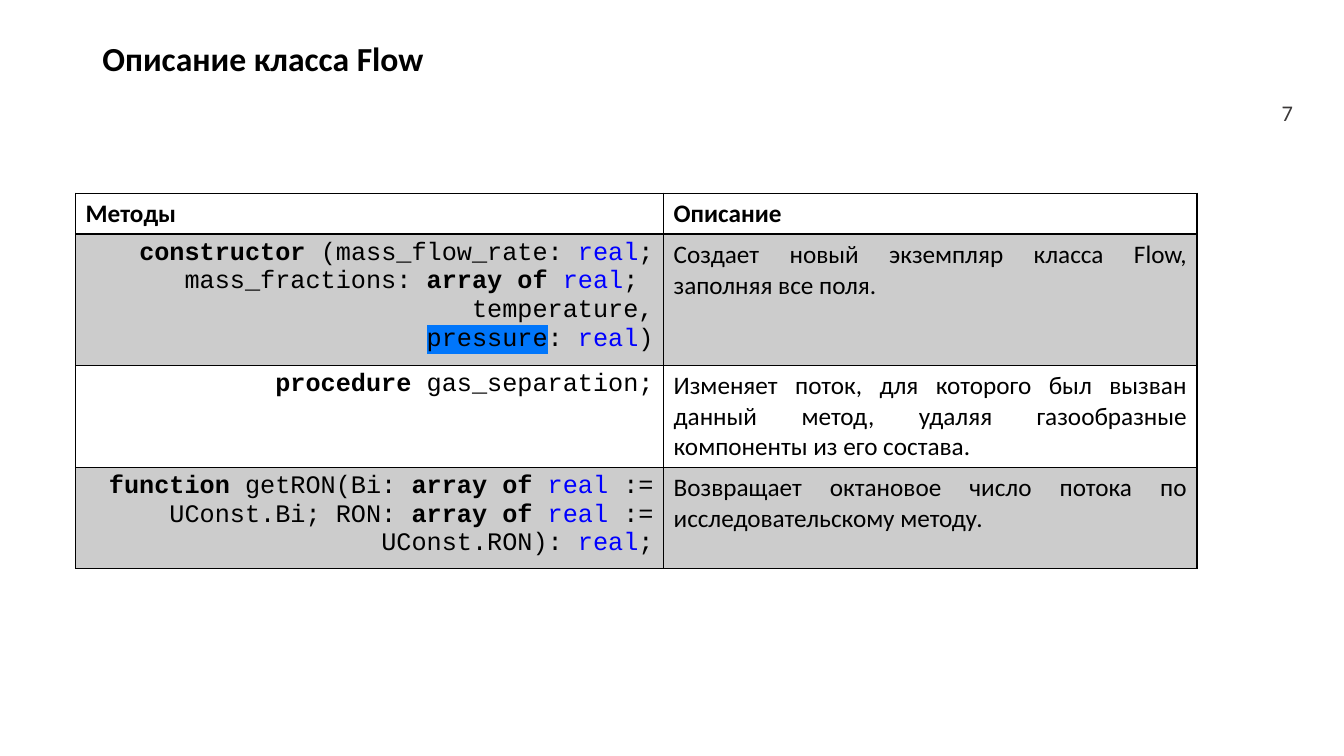
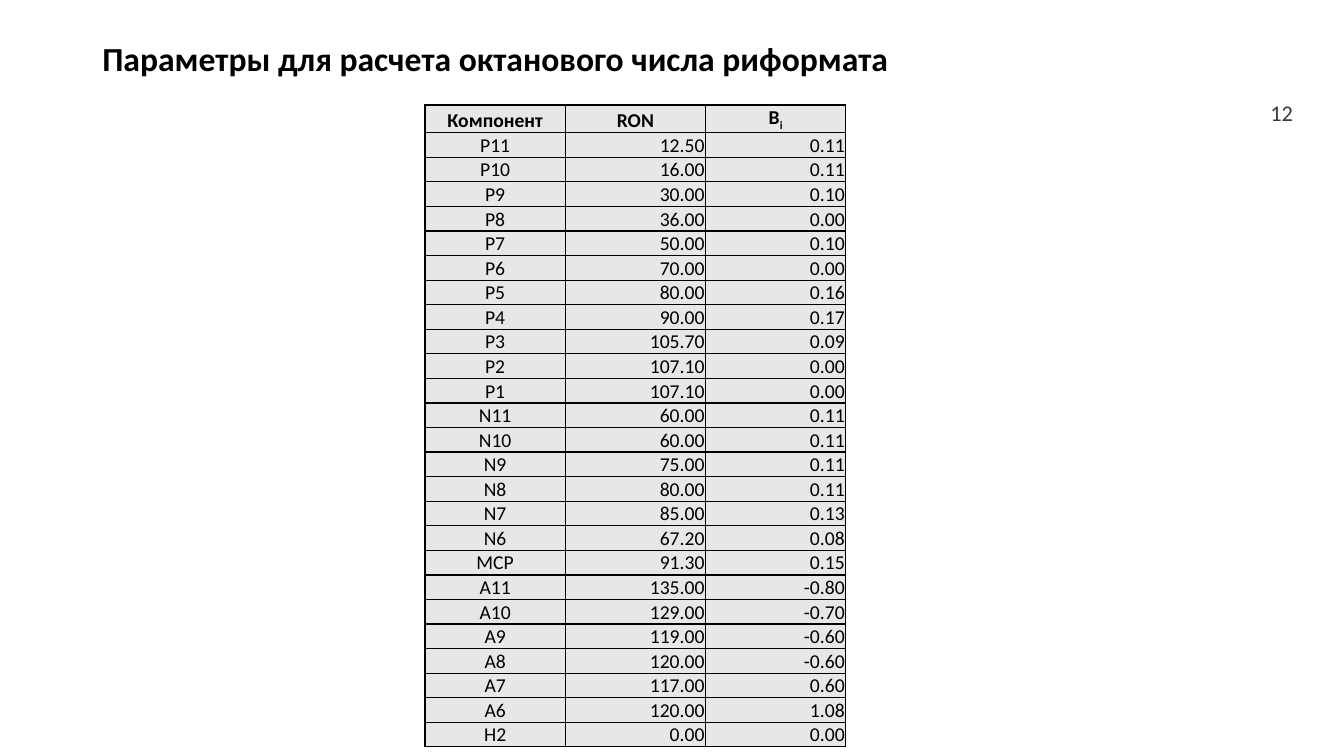
from lxml import etree
from pptx import Presentation
from pptx import util as u
from pptx.dml.color import RGBColor
from pptx.enum import text
from pptx.oxml import ns

BLACK = RGBColor(0x00, 0x00, 0x00)
NUMBER_GRAY = RGBColor(0x3B, 0x38, 0x38)
TYPE_BLUE = RGBColor(0x00, 0x00, 0xFF)
BAND_GRAY = RGBColor(0xCC, 0xCC, 0xCC)
CELL_GRAY = RGBColor(0xE7, 0xE7, 0xE7)
MARK_BLUE = RGBColor(0x00, 0x76, 0xFB)

BODY, CODE = "Calibri", "Courier New"
LEFT, CENTER = text.PP_ALIGN.LEFT, text.PP_ALIGN.CENTER
RIGHT, JUSTIFY = text.PP_ALIGN.RIGHT, text.PP_ALIGN.JUSTIFY

# Looks of a span; a plain string has none
KEYWORD, TYPE, MARKED, SUB = "keyword", "type", "marked", "sub"


class Slides:
    """Style and current page; lengths are units of a 16 by 9 grid."""

    def __init__(self):
        self.deck = Presentation()
        self.deck.slide_width = u.Inches(13.33)
        self.deck.slide_height = u.Inches(7.5)
        self.unit = self.deck.slide_width / 16
        self.page = None

    def grid(self, *lengths):
        return [u.Emu(round(length * self.unit)) for length in lengths]

    def add_page(self, title, number):
        self.page = self.deck.slides.add_slide(self.deck.slide_layouts[6])
        self.label((14.9, 1.1, 0.61, 0.48), number, 16, NUMBER_GRAY, RIGHT)
        para = self.label((1.1, 0.2, 12.94, 1.04), title, 24, BLACK, LEFT, bold=True)
        para.line_spacing = 0.9

    def label(self, place, words, size, color, align, bold=False):
        box = self.page.shapes.add_textbox(*self.grid(*place))
        frame = box.text_frame
        frame.word_wrap = True
        frame.vertical_anchor = text.MSO_ANCHOR.MIDDLE
        para = frame.paragraphs[0]
        self.set_para(para, [words], size, align, color=color, bold=bold)
        return para

    def set_para(self, para, spans, size, align, font=BODY, color=BLACK, bold=False):
        para.alignment = align
        para.font.name, para.font.size = font, u.Pt(size)
        para.font.bold = bold
        para.font.color.rgb = color
        for item in spans:
            words, look = (item, None) if isinstance(item, str) else item
            span = para.add_run()
            span.text = words
            if look == KEYWORD:
                span.font.bold = True
            elif look == TYPE:
                span.font.color.rgb = TYPE_BLUE
            elif look == MARKED:
                self.highlight(span)
            elif look == SUB:
                span.font._element.set("baseline", "-25000")

    def highlight(self, span):
        span.font.color.rgb = BLACK
        fill = span.font._element.find(ns.qn("a:solidFill"))
        mark = etree.Element(ns.qn("a:highlight"))
        etree.SubElement(mark, ns.qn("a:srgbClr"), val=str(MARK_BLUE))
        fill.addnext(mark)

    def table(self, left, top, columns, rows):
        place = self.grid(left, top, sum(columns), sum(rows))
        table = self.page.shapes.add_table(len(rows), len(columns), *place).table
        table.first_row = table.horz_banding = False
        for column, width in zip(table.columns, self.grid(*columns)):
            column.width = width
        for row, height in zip(table.rows, self.grid(*rows)):
            row.height = height
        return table

    def cell(self, cell, paras, size, align, fill=None, top=1, bottom=1, **style):
        properties = cell._tc.get_or_add_tcPr()
        for side, width in zip("LRTB", (1, 1, top, bottom)):
            line = etree.SubElement(properties, ns.qn(f"a:ln{side}"), w=str(u.Pt(width)))
            paint = etree.SubElement(line, ns.qn("a:solidFill"))
            etree.SubElement(paint, ns.qn("a:srgbClr"), val=str(BLACK))
        if fill is None:
            cell.fill.background()
        else:
            cell.fill.solid()
            cell.fill.fore_color.rgb = fill
        frame = cell.text_frame
        for index, spans in enumerate(paras):
            para = frame.add_paragraph() if index else frame.paragraphs[0]
            self.set_para(para, spans, size, align, **style)

    def tight_cell(self, cell, spans, align, bold):
        self.cell(cell, [spans], 14, align, fill=CELL_GRAY, bold=bold)
        cell.margin_left = cell.margin_right = cell.margin_top = u.Inches(0.01)
        cell.margin_bottom = 0
        cell.vertical_anchor = text.MSO_ANCHOR.BOTTOM


REAL = ("real", TYPE)
ARRAY = ("array of ", KEYWORD)

# Each method: code paragraphs, then its description
METHODS = [
    ([[("constructor ", KEYWORD), "(mass_flow_rate: ", REAL, "; mass_fractions: ",
       ARRAY, REAL, "; "],
      ["                 temperature, ", ("pressure", MARKED), ": ", REAL, ")"]],
     "Создает новый экземпляр класса Flow, заполняя все поля."),
    ([[("procedure ", KEYWORD), "gas_separation;"]],
     "Изменяет поток, для которого был вызван данный метод, удаляя "
     "газообразные компоненты из его состава."),
    ([[("function ", KEYWORD), "getRON(Bi: ", ARRAY, REAL, " := UConst.Bi; RON: ",
       ARRAY, REAL, " := UConst.RON): ", REAL, ";"]],
     "Возвращает октановое число потока по исследовательскому методу."),
]

# Component, RON, blending parameter
COMPONENTS = [
    ("P11", 12.5, 0.11), ("P10", 16, 0.11), ("P9", 30, 0.1), ("P8", 36, 0),
    ("P7", 50, 0.1), ("P6", 70, 0), ("P5", 80, 0.16), ("P4", 90, 0.17),
    ("P3", 105.7, 0.09), ("P2", 107.1, 0), ("P1", 107.1, 0),
    ("N11", 60, 0.11), ("N10", 60, 0.11), ("N9", 75, 0.11), ("N8", 80, 0.11),
    ("N7", 85, 0.13), ("N6", 67.2, 0.08), ("MCP", 91.3, 0.15),
    ("A11", 135, -0.8), ("A10", 129, -0.7), ("A9", 119, -0.6), ("A8", 120, -0.6),
    ("A7", 117, 0.6), ("A6", 120, 1.08), ("H2", 0, 0),
]


def methods_page(slides):
    slides.add_page("Описание класса Flow", "7")
    table = slides.table(0.9, 2.3, (7, 6.35), (0.49, 1.48, 1.22, 1.14))
    for column, heading in enumerate(("Методы", "Описание")):
        slides.cell(table.cell(0, column), [[heading]], 18, LEFT, bottom=2, bold=True)
    for row, (code, description) in enumerate(METHODS, 1):
        look = {"fill": BAND_GRAY if row % 2 else None, "top": 2 if row == 1 else 1}
        slides.cell(table.cell(row, 0), code, 18, RIGHT, font=CODE, **look)
        slides.cell(table.cell(row, 1), [[description]], 18, JUSTIFY, **look)


def parameters_page(slides):
    slides.add_page("Параметры для расчета октанового числа риформата", "12")
    heights = [0.33] + [0.29] * len(COMPONENTS)
    table = slides.table(5.06, 1.25, [1.67] * 3, heights)
    for column, spans in enumerate((["Компонент"], ["RON"], ["B", ("i", SUB)])):
        slides.tight_cell(table.cell(0, column), spans, CENTER, bold=True)
    for row, (name, *values) in enumerate(COMPONENTS, 1):
        slides.tight_cell(table.cell(row, 0), [name], CENTER, bold=False)
        for column, value in enumerate(values, 1):
            slides.tight_cell(table.cell(row, column), [f"{value:.2f}"], RIGHT, bold=False)


def main():
    slides = Slides()
    methods_page(slides)
    parameters_page(slides)
    slides.deck.save("out.pptx")


if __name__ == "__main__":
    main()
